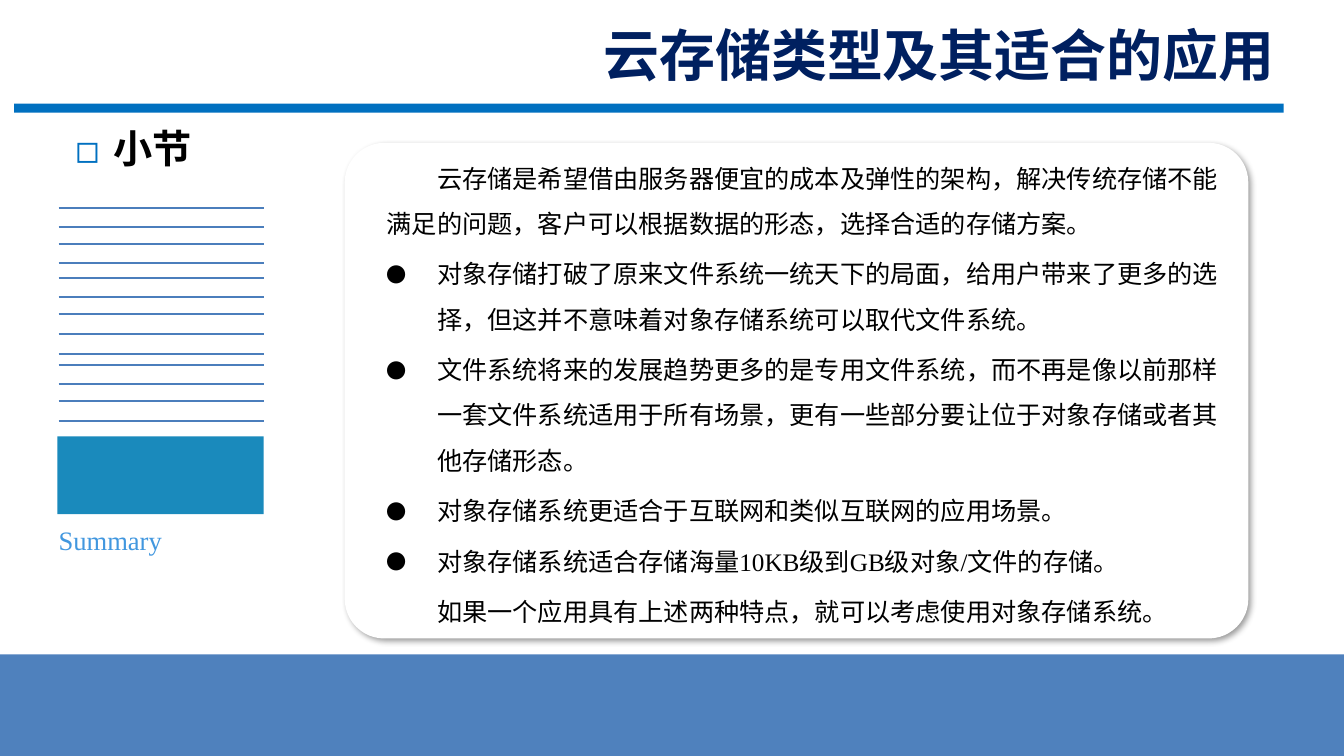
from lxml import etree
from pptx import Presentation
from pptx import util as u
from pptx.dml.color import RGBColor
from pptx.enum import shapes, text
from pptx.oxml import ns

Cm, Pt = u.Cm, u.Pt
COLORS = {"navy": "002060", "blue": "0070C0", "band": "4F81BD", "rule": "4B7EBC",
          "teal": "1A8ABC", "sky": "4197DF", "black": "000000", "white": "FFFFFF"}
SERIF, SANS, TITLE = "Times New Roman", "Noto Sans CJK SC", "Lato"
POINTS = [
    ("云存储是希望借由服务器便宜的成本及弹性的架构，解决传统存储不能满足的问题，客户可以根据数据的形态，选择合适的存储方案。", False),
    ("对象存储打破了原来文件系统一统天下的局面，给用户带来了更多的选择，但这并不意味着对象存储系统可以取代文件系统。", True),
    ("文件系统将来的发展趋势更多的是专用文件系统，而不再是像以前那样一套文件系统适用于所有场景，更有一些部分要让位于对象存储或者其他存储形态。", True),
    ("对象存储系统更适合于互联网和类似互联网的应用场景。", True),
    ("对象存储系统适合存储海量10KB级到GB级对象/文件的存储。", True),
    ("如果一个应用具有上述两种特点，就可以考虑使用对象存储系统。", False),
]


def rgb(name):
    return RGBColor.from_string(COLORS[name])


def add(parent, tag, **attrs):
    return etree.SubElement(parent, ns.qn(tag), {k: str(v) for k, v in attrs.items()})


def style(p, size, font, color, bold=False):
    for r in p.runs:
        r.font.size, r.font.name, r.font.bold = Pt(size), font, bold
        r.font.color.rgb = rgb(color)
        if font == SANS:
            add(r._r.get_or_add_rPr(), "a:ea", typeface=font)


def indent(p, left, first):
    pPr = p._p.get_or_add_pPr()
    pPr.set("marL", str(Cm(left)))
    pPr.set("indent", str(Cm(first)))
    return pPr


def bullet(pPr, char, size=100, color="black"):
    add(add(pPr, "a:buClr"), "a:srgbClr", val=COLORS[color])
    add(pPr, "a:buSzPct", val=size * 1000)
    add(pPr, "a:buFont", typeface=SANS)
    add(pPr, "a:buChar", char=char)


def add_block(s, kind, box, color):
    sp = s.shapes.add_shape(kind, *map(Cm, box))
    sp.shadow.inherit = False
    sp.fill.solid()
    sp.fill.fore_color.rgb = rgb(color)
    sp.line.fill.background()
    return sp


def add_text(s, box, wrap=True):
    tf = s.shapes.add_textbox(*map(Cm, box)).text_frame
    tf.word_wrap = wrap
    return tf


def add_header(s, x, y, w, h):
    add_block(s, shapes.MSO_SHAPE.RECTANGLE, (x, y + h - 0.23, w, 0.23), "blue")
    sp = s.shapes.title
    sp.left, sp.top, sp.width, sp.height = map(Cm, (x + w - 18.17, y, 18.19, 1.47))
    tf = sp.text_frame
    tf.text = "云存储类型及其适合的应用"
    tf.vertical_anchor = text.MSO_ANCHOR.BOTTOM
    tf.auto_size = text.MSO_AUTO_SIZE.NONE
    tf.paragraphs[0].alignment = text.PP_ALIGN.RIGHT
    style(tf.paragraphs[0], 40, TITLE, "navy", True)


def add_sidebar(s, x, y, w):
    p = add_text(s, (x + 0.2, y, 3.48, 1.45), False).paragraphs[0]
    p.text = "小节"
    style(p, 28, SANS, "black", True)
    bullet(indent(p, 0.95, -0.95), "◻", color="blue")

    offsets = [start + step for start in (2.23, 4.01, 6.2) for step in (0, 0.48, 0.91, 1.4)]
    for dy in offsets + [5.92]:
        line = s.shapes.add_connector(shapes.MSO_CONNECTOR.STRAIGHT, Cm(x + 0.03),
                                      Cm(y + dy), Cm(x + w), Cm(y + dy))
        line.line.color.rgb = rgb("rule")
        line.line.width = Pt(1.5)
        add(line._element.spPr, "a:effectLst")

    add_block(s, shapes.MSO_SHAPE.RECTANGLE, (x, y + 8, w, 1.96), "teal")
    tf = add_text(s, (x + 0.03, y + 10.44, w, 0.76))
    tf.margin_left = tf.margin_right = tf.margin_top = 0
    p = tf.paragraphs[0]
    p.text = "Summary"
    p.line_spacing = Pt(16)
    style(p, 19, SERIF, "sky")


def add_card(s, x, y, w, h):
    sp = add_block(s, shapes.MSO_SHAPE.ROUNDED_RECTANGLE, (x, y, w, h), "white")
    sp.adjustments[0] = 0.08
    effects = sp._element.spPr.find(ns.qn("a:effectLst"))
    shadow = add(effects, "a:outerShdw", blurRad=Pt(4), dist=Pt(3), dir=45 * 60000,
                 algn="tl", rotWithShape=0)
    add(add(shadow, "a:srgbClr", val=COLORS["black"]), "a:alpha", val=40000)

    tf = add_text(s, (x + 0.81, y, w - 1.19, h))
    for i, (line, marked) in enumerate(POINTS):
        p = tf.add_paragraph() if i else tf.paragraphs[0]
        p.text = line
        p.line_spacing = 1.5
        p.space_before = Pt(3.6)
        style(p, 18, SERIF, "black")
        if marked:
            bullet(indent(p, 1.27, -1.27), "●", 80)
        else:
            indent(p, 0, 1.27)


def main():
    prs = Presentation()
    prs.slide_width, prs.slide_height = Cm(33.88), Cm(19.05)
    s = prs.slides.add_slide(prs.slide_layouts[5])
    add_card(s, 8.69, 3.6, 22.78, 12.49)
    add_sidebar(s, 1.45, 3, 5.2)
    add_block(s, shapes.MSO_SHAPE.RECTANGLE, (0, 16.49, 33.88, 2.56), "band")
    add_header(s, 0.36, 0.86, 32, 1.98)
    prs.save("out.pptx")


if __name__ == "__main__":
    main()
